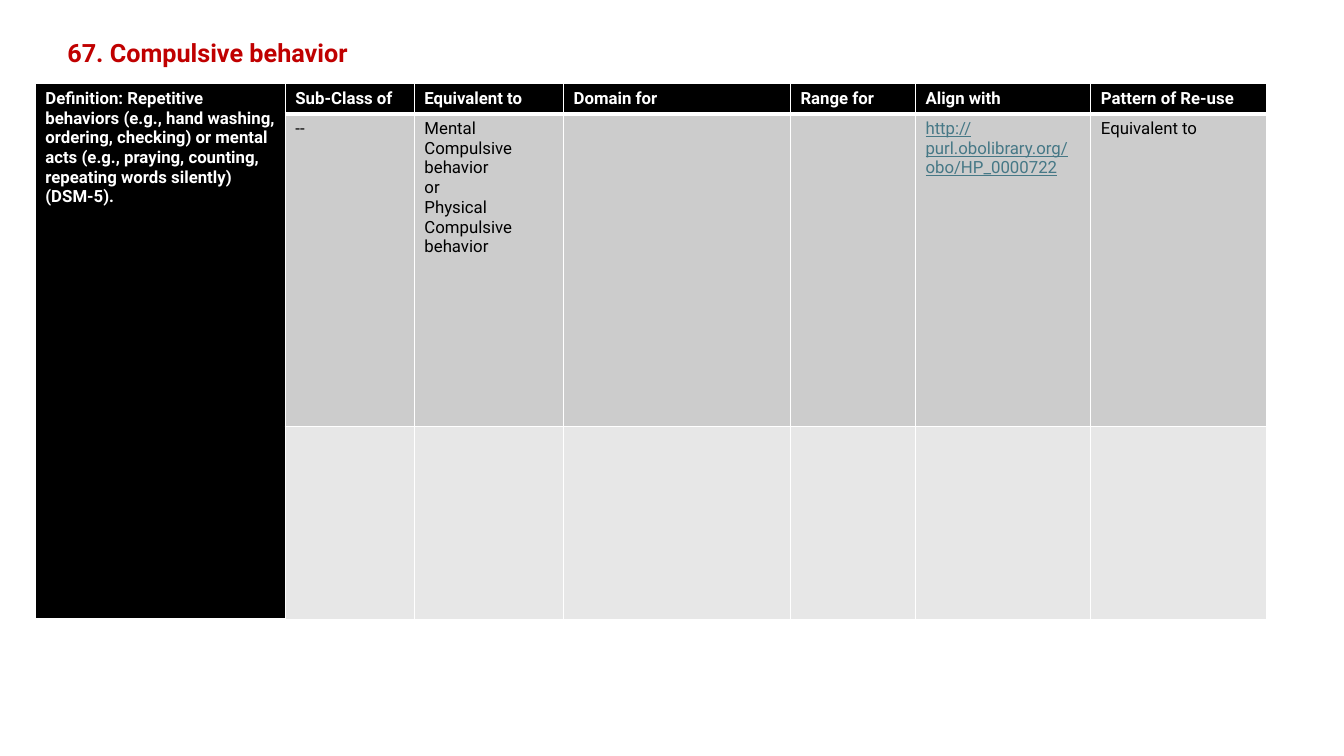
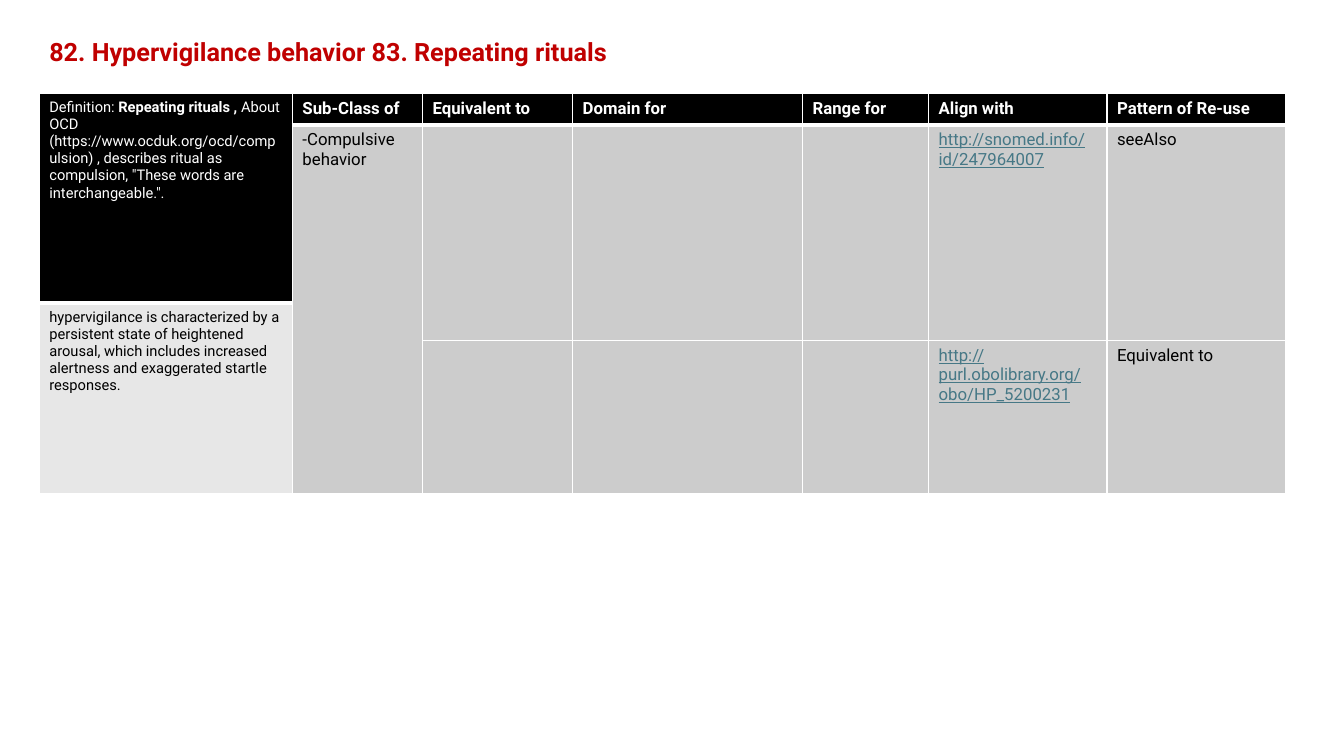
from lxml import etree
from pptx import Presentation
from pptx.dml.color import RGBColor
from pptx.oxml.ns import qn
from pptx.util import Inches, Pt

FONT = "Roboto"
RED, BLACK, WHITE = "C00000", "000000", "FFFFFF"
BODY_GREY, PALE_GREY, LINK = "CCCCCC", "E7E7E7", "467886"
HEADERS = ["Sub-Class of", "Equivalent to", "Domain for", "Range for",
           "Align with", "Pattern of Re-use"]
SUB_CLASS, EQUIVALENT, ALIGN, REUSE = 1, 2, 5, 6


def rgb(value):
    return RGBColor.from_string(value)


def add_text(paragraph, text, size=12, color=BLACK, bold=False, underline=False):
    run = paragraph.add_run()
    run.text = text
    font = run.font
    font.name, font.size, font.bold = FONT, Pt(size), bold
    font.color.rgb = rgb(color)
    if underline:
        font.underline = True


def add_title(slide, text, left, top, width):
    frame = slide.shapes.add_textbox(
        Inches(left), Inches(top), Inches(width), Inches(0.4)).text_frame
    frame.word_wrap = True
    add_text(frame.paragraphs[0], text, size=18, color=RED, bold=True)


def set_borders(cell, bottom):
    properties = cell._tc.get_or_add_tcPr()
    for position, (side, width) in enumerate(
            [("lnL", 1), ("lnR", 1), ("lnT", 1), ("lnB", bottom)]):
        line = etree.Element(qn(f"a:{side}"), w=str(Pt(width)))
        fill = etree.SubElement(line, qn("a:solidFill"))
        etree.SubElement(fill, qn("a:srgbClr"), val=WHITE)
        properties.insert(position, line)


def fill_block(table, row, column, fill, rows=1, bottom=1):
    for covered_row in range(row, row + rows):
        cell = table.cell(covered_row, column)
        cell.fill.solid()
        cell.fill.fore_color.rgb = rgb(fill)
        set_borders(cell, bottom)
    origin = table.cell(row, column)
    if rows > 1:
        origin.merge(table.cell(row + rows - 1, column))
    return origin


def write_cell(cell, *lines, **text_format):
    frame = cell.text_frame
    for index, line in enumerate(lines):
        paragraph = frame.add_paragraph() if index else frame.paragraphs[0]
        add_text(paragraph, line, **text_format)


def write_link(cell, address):
    write_cell(cell, address, color=LINK, underline=True)


def add_term_table(slide, left, top, widths, heights):
    table = slide.shapes.add_table(
        len(heights), len(widths), Inches(left), Inches(top),
        Inches(sum(widths)), Inches(sum(heights))).table
    table.first_row = table.horz_banding = False
    for column, width in zip(table.columns, widths):
        column.width = Inches(width)
    for row, height in zip(table.rows, heights):
        row.height = Inches(height)
    for column, header in enumerate(HEADERS, start=1):
        cell = fill_block(table, 0, column, BLACK, bottom=3)
        write_cell(cell, header, color=WHITE, bold=True)
    return table


def build_compulsive_behavior(slide):
    add_title(slide, "67. Compulsive behavior", 0.57, 0.32, 6.67)
    table = add_term_table(slide, 0.35, 0.83,
                           [2.48, 1.28, 1.48, 2.25, 1.24, 1.74, 1.74],
                           [0.3, 3.1, 1.92])
    definition = fill_block(table, 0, 0, BLACK, rows=3, bottom=3)
    write_cell(definition,
               "Definition: Repetitive behaviors (e.g., hand washing, ordering, "
               "checking) or mental acts (e.g., praying, counting, repeating "
               "words silently) (DSM-5).", color=WHITE, bold=True)
    for row, fill in [(1, BODY_GREY), (2, PALE_GREY)]:
        for column in range(SUB_CLASS, REUSE + 1):
            fill_block(table, row, column, fill)
    write_cell(table.cell(1, SUB_CLASS), "--")
    write_cell(table.cell(1, EQUIVALENT), "Mental Compulsive behavior", "or",
               "Physical Compulsive behavior")
    write_link(table.cell(1, ALIGN), "http://purl.obolibrary.org/obo/HP_0000722")
    write_cell(table.cell(1, REUSE), "Equivalent to")


def build_repeating_rituals(slide):
    table = add_term_table(slide, 0.39, 0.93,
                           [2.51, 1.29, 1.49, 2.28, 1.25, 1.77, 1.77],
                           [0.31, 1.77, 0.37, 1.52])
    add_title(slide, "82. Hypervigilance behavior 83. Repeating rituals",
              0.39, 0.31, 11.55)
    definition = fill_block(table, 0, 0, BLACK, rows=2, bottom=3)
    for text, bold in [
            ("Definition: ", False),
            ("Repeating rituals , ", True),
            ("About OCD (https://www.ocduk.org/ocd/compulsion) , describes ritual "
             'as compulsion, "These words are interchangeable.".', False)]:
        add_text(definition.text_frame.paragraphs[0], text,
                 size=10.5, color=WHITE, bold=bold)
    hypervigilance = fill_block(table, 2, 0, PALE_GREY, rows=2)
    write_cell(hypervigilance,
               "hypervigilance is characterized by a persistent state of "
               "heightened arousal, which includes increased alertness and "
               "exaggerated startle responses.", size=10.5)
    write_cell(fill_block(table, 1, SUB_CLASS, BODY_GREY, rows=3),
               "-Compulsive behavior")
    for row, rows in [(1, 2), (3, 1)]:
        for column in range(EQUIVALENT, REUSE + 1):
            fill_block(table, row, column, BODY_GREY, rows=rows)
    for row, address, reuse in [
            (1, "http://snomed.info/id/247964007", "seeAlso"),
            (3, "http://purl.obolibrary.org/obo/HP_5200231", "Equivalent to")]:
        write_link(table.cell(row, ALIGN), address)
        write_cell(table.cell(row, REUSE), reuse)


def main():
    deck = Presentation()
    deck.slide_width, deck.slide_height = Inches(13.33), Inches(7.5)
    for build in (build_compulsive_behavior, build_repeating_rituals):
        build(deck.slides.add_slide(deck.slide_layouts[6]))
    deck.save("out.pptx")


if __name__ == "__main__":
    main()
